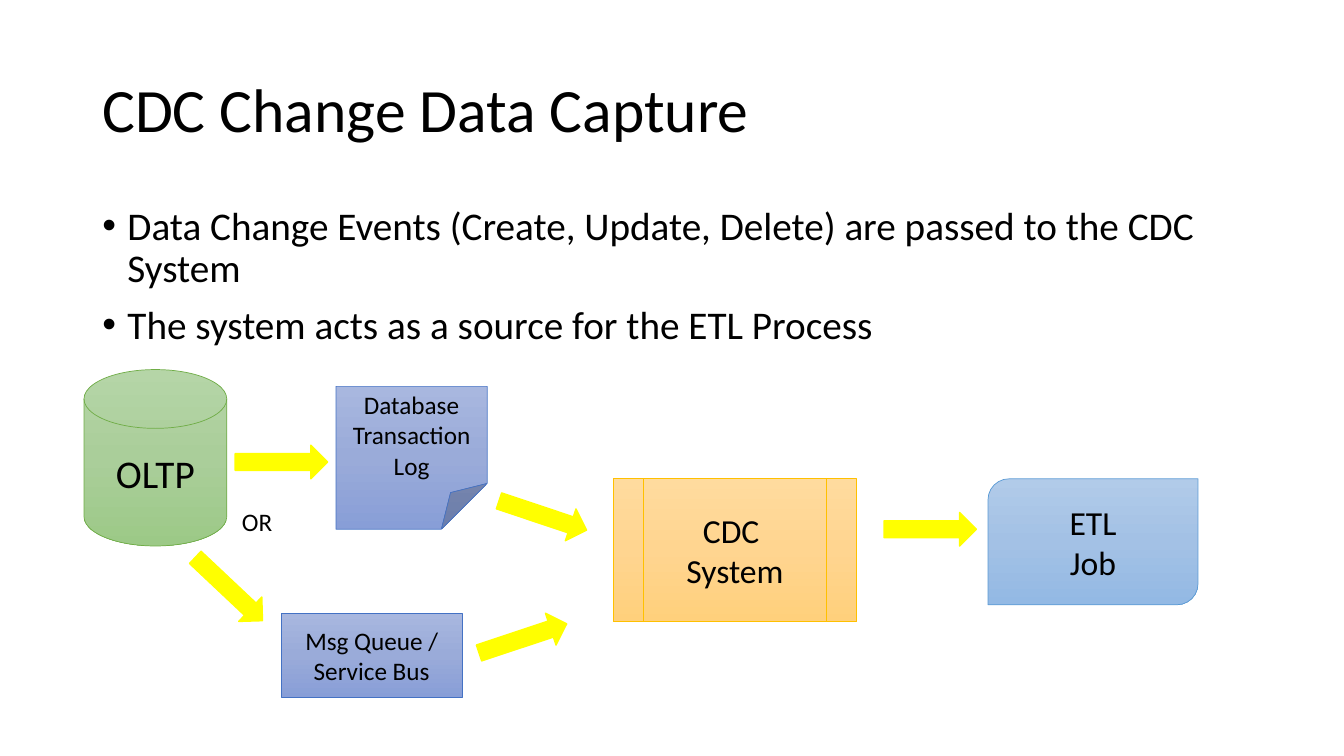
from copy import deepcopy
from dataclasses import dataclass

from lxml import etree
from pptx import Presentation
from pptx.dml.color import RGBColor
from pptx.enum.shapes import MSO_SHAPE
from pptx.enum.text import MSO_ANCHOR, MSO_AUTO_SIZE, PP_ALIGN
from pptx.oxml.ns import qn
from pptx.util import Emu, Pt

DISK = MSO_SHAPE.FLOWCHART_MAGNETIC_DISK
FOLDED = MSO_SHAPE.FOLDED_CORNER
PREDEFINED = MSO_SHAPE.FLOWCHART_PREDEFINED_PROCESS
PROCESS = MSO_SHAPE.FLOWCHART_PROCESS
DIAG_ROUND = MSO_SHAPE.ROUND_2_DIAG_RECTANGLE
ARROW = MSO_SHAPE.RIGHT_ARROW
TOP, MIDDLE = MSO_ANCHOR.TOP, MSO_ANCHOR.MIDDLE
CENTER = PP_ALIGN.CENTER

EMU_PER_PX = 9525
FONT = "Calibri"
BLACK, YELLOW = "000000", "FFFF00"
ARROW_W, ARROW_H = 88, 32

# Gradient stops from top to bottom
GREEN = ("B5D5A7", "AACE9A", "9CC987")
INDIGO = ("A8B7DF", "9AABD9", "889ED7")
AMBER = ("FFDB9E", "FFD590", "FFD07C")
BLUE = ("B1CBE9", "A3C1E5", "93B9E4")


@dataclass
class Node:
    kind: MSO_SHAPE
    x: int
    y: int
    w: int
    h: int
    text: str
    size: int
    stops: tuple[str, str, str]
    line: str


@dataclass
class Arrow:
    x: int
    y: int
    angle: float = 0


NODES = [
    Node(DISK, 80, 352, 136, 168, "OLTP", 28, GREEN, "70AD47"),
    Node(FOLDED, 320, 368, 144, 136, "Database\vTransaction Log", 18, INDIGO, "4472C4"),
    Node(PREDEFINED, 584, 456, 232, 136, "CDC \nSystem", 24, AMBER, "FFC000"),
    Node(DIAG_ROUND, 941, 456, 200, 120, "ETL\vJob", 24, BLUE, "5B9BD5"),
    Node(PROCESS, 268, 584, 172, 80, "Msg Queue /\vService Bus", 18, INDIGO, "4472C4"),
]
ARROWS = [
    Arrow(224, 424),
    Arrow(454, 592, 341.6),
    Arrow(473, 475, 18.5),
    Arrow(842, 488),
    Arrow(174, 545, 43.3),
]
BULLETS = [
    "Data Change Events (Create, Update, Delete) are passed to the CDC System",
    "The system acts as a source for the ETL Process",
]


def px(n: int) -> Emu:
    return Emu(n * EMU_PER_PX)


def rgb(color: str) -> RGBColor:
    return RGBColor.from_string(color)


def write(tf, text: str, size: int, align=None, spacing=None) -> None:
    tf.text = text
    for p in tf.paragraphs:
        p.alignment = align
        p.line_spacing = spacing
        for r in p.runs:
            r.font.name = FONT
            r.font.size = Pt(size)
            r.font.color.rgb = rgb(BLACK)


def add_text(slide, x: int, y: int, w: int, h: int, text: str, size: int,
             anchor=TOP, wrap=True, spacing=None):
    tf = slide.shapes.add_textbox(px(x), px(y), px(w), px(h)).text_frame
    tf.word_wrap = wrap
    tf.vertical_anchor = anchor
    write(tf, text, size, spacing=spacing)
    return tf


def add_bullet(p) -> None:
    pPr = p._p.get_or_add_pPr()
    pPr.set("marL", str(px(24)))
    pPr.set("indent", str(px(-24)))
    etree.SubElement(pPr, qn("a:buFont")).set("typeface", "Arial")
    etree.SubElement(pPr, qn("a:buChar")).set("char", "•")


def set_fold(s, size: int) -> None:
    geom = s._element.spPr.find(qn("a:prstGeom"))
    guide = etree.SubElement(geom.find(qn("a:avLst")), qn("a:gd"))
    guide.set("name", "adj")
    guide.set("fmla", f"val {size}")


def fill_gradient(s, colors: tuple[str, str, str]) -> None:
    s.fill.gradient()
    s.fill.gradient_angle = 270
    stop_list = s._element.spPr.find(qn("a:gradFill")).find(qn("a:gsLst"))
    stop_list.append(deepcopy(stop_list[-1]))
    for i, (stop, color) in enumerate(zip(s.fill.gradient_stops, colors)):
        stop.position = i / 2
        stop.color.rgb = rgb(color)


def add_node(slide, node: Node) -> None:
    s = slide.shapes.add_shape(node.kind, px(node.x), px(node.y), px(node.w), px(node.h))
    s.shadow.inherit = False
    if node.kind == FOLDED:
        set_fold(s, 32000)
    fill_gradient(s, node.stops)
    s.line.color.rgb = rgb(node.line)
    s.line.width = Pt(0.5)
    s.text_frame.word_wrap = True
    s.text_frame.vertical_anchor = MIDDLE
    write(s.text_frame, node.text, node.size, CENTER)


def add_arrow(slide, arrow: Arrow) -> None:
    s = slide.shapes.add_shape(ARROW, px(arrow.x), px(arrow.y), px(ARROW_W), px(ARROW_H))
    s.shadow.inherit = False
    s.rotation = arrow.angle
    s.fill.solid()
    s.fill.fore_color.rgb = rgb(YELLOW)
    s.line.color.rgb = rgb(YELLOW)
    s.line.width = Pt(1)


def main() -> None:
    prs = Presentation()
    prs.slide_width, prs.slide_height = px(1280), px(720)
    slide = prs.slides.add_slide(prs.slide_layouts[6])

    # Title and bullets
    add_text(slide, 88, 38, 1104, 139, "CDC Change Data Capture", 44, MIDDLE, spacing=0.9)
    tf = add_text(slide, 88, 192, 1104, 457, "\n".join(BULLETS), 28, spacing=0.9)
    for p in tf.paragraphs:
        add_bullet(p)
    for p in tf.paragraphs[1:]:
        p.space_before = Pt(10)

    # Data flow
    for node in NODES:
        add_node(slide, node)
    for arrow in ARROWS:
        add_arrow(slide, arrow)

    # Label between the two routes
    tf = add_text(slide, 221, 477, 49, 38, "OR", 18, wrap=False)
    tf.auto_size = MSO_AUTO_SIZE.SHAPE_TO_FIT_TEXT

    prs.save("out.pptx")


if __name__ == "__main__":
    main()
